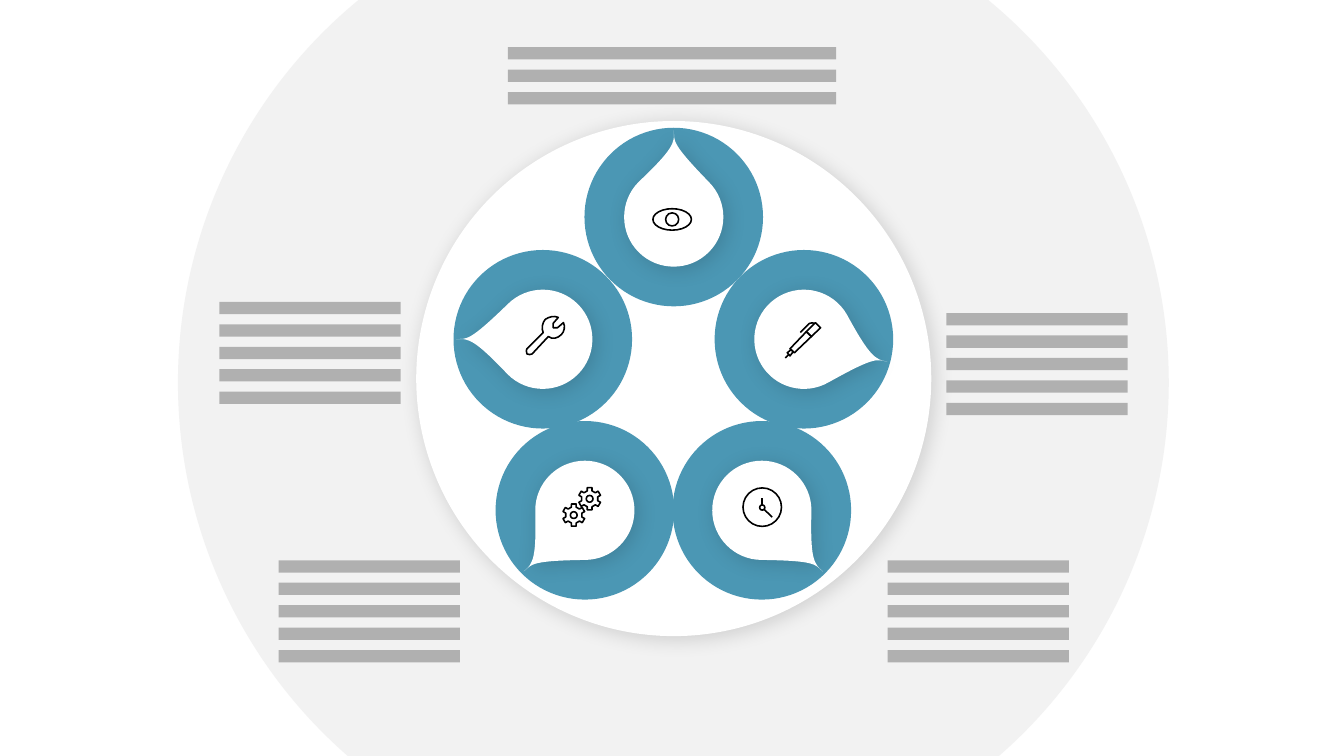
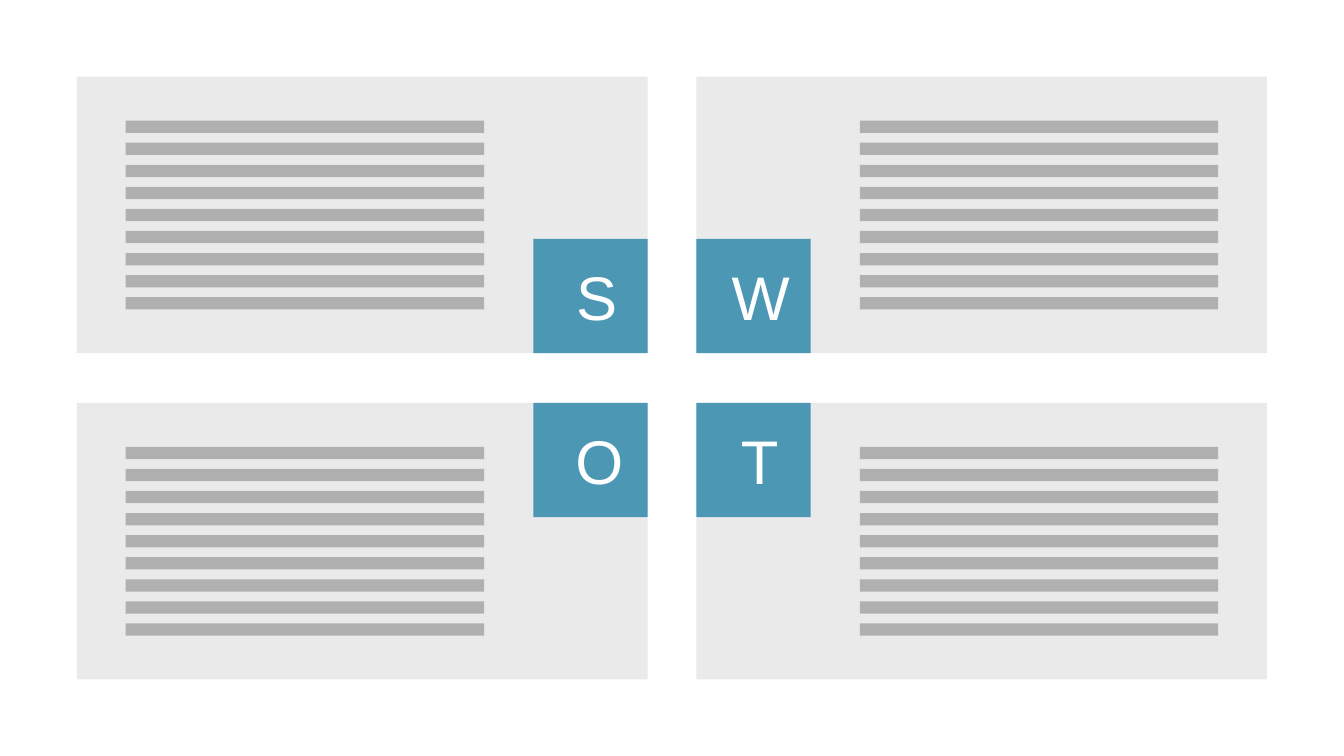
"""Build a five-drop wheel slide and a SWOT grid slide."""
from math import cos, radians, sin

from lxml.etree import SubElement
from pptx import Presentation
from pptx.dml.color import RGBColor
from pptx.enum.shapes import MSO_CONNECTOR, MSO_SHAPE
from pptx.enum.text import MSO_AUTO_SIZE
from pptx.oxml.ns import qn
from pptx.util import Cm, Pt

COLORS = {"blue": "4B97B4", "bar": "B0B0B0", "backdrop": "F2F2F2",
          "card": "EAEAEA", "white": "FFFFFF", "black": "000000"}
SHADOW = {"blurRad": Pt(15), "dist": Pt(3), "dir": 45 * 60000,
          "algn": "ctr", "rotWithShape": 0}
LETTER_FONT = {"name": "Arial", "size": Pt(44)}
ICON_LINE = Pt(1.13)
BAR_HEIGHT = 0.31


def style(shape, fill=None, shadow=False):
    """Fill a shape without a line, or give it the icon outline."""
    shape.shadow.inherit = False
    if fill:
        shape.fill.solid()
        shape.fill.fore_color.rgb = RGBColor.from_string(COLORS[fill])
        shape.line.fill.background()
    else:
        shape.fill.background()
        shape.line.color.rgb = RGBColor.from_string(COLORS["black"])
        shape.line.width = ICON_LINE
    if shadow:
        effects = shape.element.spPr.find(qn("a:effectLst"))
        outer = SubElement(effects, qn("a:outerShdw"),
                           {key: str(value) for key, value in SHADOW.items()})
        color = SubElement(outer, qn("a:srgbClr"), val=COLORS["black"])
        SubElement(color, qn("a:alpha"), val="15000")


def outline(shapes, start, steps, closed=True):
    """Draw steps of one point (line) or three points (Bézier curve)."""
    points = [(Cm(x), Cm(y)) for step in steps for x, y in zip(step[::2], step[1::2])]
    builder = shapes.build_freeform(Cm(start[0]), Cm(start[1]), scale=1.0)
    builder.add_line_segments(points, close=closed)
    shape = builder.convert_to_shape()
    segments = iter(list(shape.element.iter(qn("a:lnTo"))))
    for step in steps:
        segment = next(segments)
        if len(step) == 6:
            segment.tag = qn("a:cubicBezTo")
            for extra in (next(segments), next(segments)):
                segment.append(extra[0])
                extra.getparent().remove(extra)
    return shape


deck = Presentation()
deck.slide_width, deck.slide_height = Cm(33.87), Cm(19.05)
wheel_page, swot_page = [deck.slides.add_slide(deck.slide_layouts[6]) for _ in range(2)]

DROP = [(0, -1.25),
        (0.69, -1.25, 1.25, -0.69, 1.25, 0),
        (1.22, 1.19, 1.3, 1.35, 1.54, 1.54),
        (1.33, 1.36, 1.37, 1.27, 0, 1.25),
        (-0.69, 1.25, -1.25, 0.69, -1.25, 0),
        (-1.25, -0.69, -0.69, -1.25, 0, -1.25)]
drops = [(16.98, 5.47, -135, 1), (13.68, 8.55, 135, 1), (20.26, 8.55, -30, 1),
         (19.2, 12.86, 0, 1), (14.74, 12.86, 0, -1)]
discs = [(16.97, 9.64, 24.97, "backdrop", False), (16.98, 9.54, 12.98, "white", True)]
discs += [(x, y, 4.5, "blue", False) for x, y, turn, mirror in drops]

for x, y, size, fill, shadow in discs:
    disc = wheel_page.shapes.add_shape(
        MSO_SHAPE.OVAL, Cm(x - size / 2), Cm(y - size / 2), Cm(size), Cm(size))
    style(disc, fill, shadow)

for x, y, turn, mirror in drops:
    across, down = cos(radians(turn)), sin(radians(turn))
    steps = []
    for step in DROP:
        turned = []
        for dx, dy in zip(step[::2], step[1::2]):
            turned += [x + mirror * (dx * across - dy * down), y + dx * down + dy * across]
        steps.append(turned)
    drop = outline(wheel_page.shapes, steps[0], steps[1:])
    style(drop, "white", True)

eye, pen, gears, wrench, clock = [
    wheel_page.shapes.add_group_shape().shapes for _ in range(5)]

pen_parts = [
    [(20.02, 8.89), (19.91, 8.79), (20.32, 8.36), (20.45, 8.48)],
    [(20.55, 8.13), (20.68, 8.26), (20.45, 8.48), (20.32, 8.36)],
    [(19.91, 8.97), (19.84, 8.89), (19.94, 8.81), (19.99, 8.86)]]
for part in pen_parts:
    style(outline(pen, part[0], part[1:]))
pen_clip = [(20.5, 8.13, 20.45, 8.13, 20.4, 8.15), (20.17, 8.38)]
style(outline(pen, (20.52, 8.15), pen_clip, closed=False))

gear_centers = [(14.86, 12.57), (14.46, 12.98)]
for x, y in gear_centers:
    rim = []
    for turn in range(0, 360, 60):
        across, down = cos(radians(turn)), sin(radians(turn))
        for dx, dy in [(-0.06, -0.2), (-0.06, -0.28), (0.06, -0.28), (0.06, -0.2)]:
            rim.append((x + dx * across - dy * down, y + dx * down + dy * across))
    style(outline(gears, rim[0], rim[1:]))

wrench_steps = [
    (14.22, 8.36, 14.25, 8.23, 14.2, 8.13),
    (14.05, 8.26), (13.94, 8.26), (13.94, 8.15), (14.07, 8),
    (13.97, 7.95, 13.84, 7.98, 13.74, 8.05),
    (13.67, 8.13, 13.64, 8.28, 13.69, 8.38),
    (13.28, 8.79),
    (13.26, 8.81, 13.26, 8.86, 13.28, 8.92),
    (13.31, 8.94, 13.39, 8.94, 13.41, 8.92),
    (13.82, 8.48),
    (13.92, 8.56, 14.05, 8.53, 14.15, 8.43)]
style(outline(wrench, (14.15, 8.43), wrench_steps))

icon_ovals = [(eye, 16.94, 5.53, 0.97, 0.54), (eye, 16.94, 5.53, 0.33, 0.33),
              (clock, 19.21, 12.78, 0.97, 0.97), (clock, 19.21, 12.79, 0.13, 0.13)]
icon_ovals += [(gears, x, y, 0.17, 0.17) for x, y in gear_centers]
for icon, x, y, width, height in icon_ovals:
    style(icon.add_shape(MSO_SHAPE.OVAL, Cm(x - width / 2), Cm(y - height / 2),
                         Cm(width), Cm(height)))

icon_lines = [(pen, 19.89, 8.92, 19.79, 9.02), (clock, 19.46, 13.03, 19.25, 12.83),
              (clock, 19.2, 12.55, 19.2, 12.73)]
for icon, *ends in icon_lines:
    line = icon.add_connector(MSO_CONNECTOR.STRAIGHT, *[Cm(end) for end in ends])
    line.line.color.rgb = RGBColor.from_string(COLORS["black"])
    line.line.width = ICON_LINE
    SubElement(line.element.spPr, qn("a:effectLst"))

bar_blocks = [(wheel_page, left, top, width, count, 2.26 / 4)
              for left, top, width, count in [
                  (22.37, 14.12, 4.57, 5), (7.02, 14.12, 4.57, 5), (5.53, 7.61, 4.57, 5),
                  (23.85, 7.89, 4.57, 5), (12.8, 1.19, 8.27, 3)]]

CARD_WIDTH, CARD_HEIGHT, TILE, INSET, BARS_WIDTH = 14.38, 6.97, 2.88, 1.23, 9.03
LEFTS, TOPS = (1.94, 17.55), (1.93, 10.15)
letters = [("S", 14.27, 1.22), ("W", 18.19, 1.63), ("O", 14.25, 1.24), ("T", 18.42, 1.12)]
for index, (letter, text_left, text_width) in enumerate(letters):
    row, column = divmod(index, 2)
    left, top = LEFTS[column], TOPS[row]
    tile_left = left if column else left + CARD_WIDTH - TILE
    tile_top = top if row else top + CARD_HEIGHT - TILE
    for fill, *frame in [("card", left, top, CARD_WIDTH, CARD_HEIGHT),
                         ("blue", tile_left, tile_top, TILE, TILE)]:
        style(swot_page.shapes.add_shape(
            MSO_SHAPE.RECTANGLE, *[Cm(value) for value in frame]), fill)

    box = swot_page.shapes.add_textbox(
        Cm(text_left), Cm(tile_top + 0.38), Cm(text_width), Cm(2.13))
    box.text_frame.word_wrap = False
    box.text_frame.auto_size = MSO_AUTO_SIZE.SHAPE_TO_FIT_TEXT
    para = box.text_frame.paragraphs[0]
    span = para.add_run()
    span.text = letter
    for name, value in LETTER_FONT.items():
        setattr(span.font, name, value)
    span.font.color.rgb = RGBColor.from_string(COLORS["white"])

    bars_left = left + (CARD_WIDTH - INSET - BARS_WIDTH if column else INSET)
    bar_blocks.append((swot_page, bars_left, top + 1.11, BARS_WIDTH, 9, 4.45 / 8))

for page, left, top, width, count, pitch in bar_blocks:
    block = page.shapes.add_group_shape().shapes
    for row in range(count):
        style(block.add_shape(MSO_SHAPE.RECTANGLE, Cm(left), Cm(top + row * pitch),
                              Cm(width), Cm(BAR_HEIGHT)), "bar")

deck.save("out.pptx")
